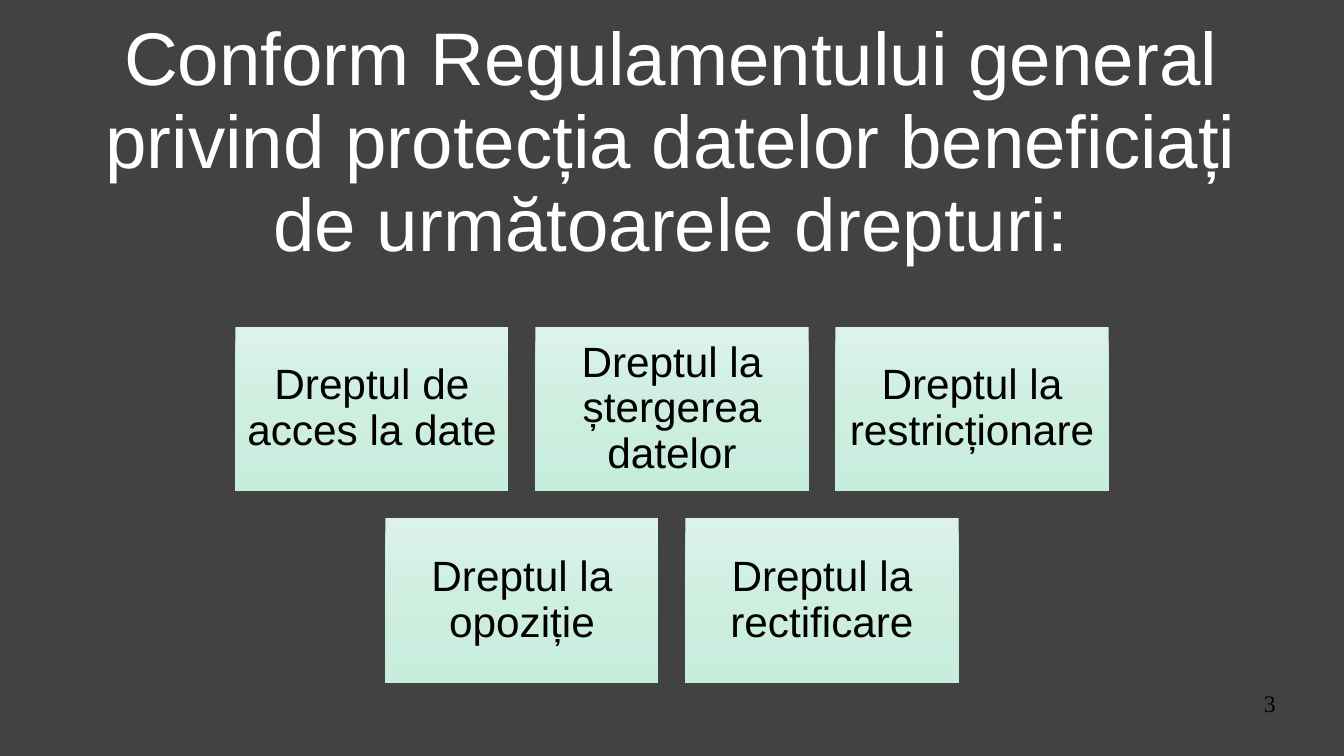
from copy import deepcopy
from dataclasses import dataclass

from pptx import Presentation
from pptx.dml.color import RGBColor
from pptx.enum.shapes import MSO_SHAPE
from pptx.enum.text import MSO_ANCHOR, PP_ALIGN
from pptx.oxml.ns import qn
from pptx.util import Inches, Pt


@dataclass(frozen=True)
class Theme:
    background: str = "424242"
    title_color: str = "FFFFFF"
    text_color: str = "000000"
    card_gradient: tuple = ((0, "DBF3E9"), (0.5, "CEEEE0"), (1, "C7EDDD"))
    font: str = "Arial"
    number_font: str = "Times New Roman"
    title_size: int = 44
    card_size: int = 25
    number_size: int = 14


class SlideBuilder:
    def __init__(self, slide, theme):
        self.slide = slide
        self.theme = theme
        fill = slide.background.fill
        fill.solid()
        fill.fore_color.rgb = RGBColor.from_string(theme.background)

    def set_text(self, shape, text, size, color, font, inset=0,
                 anchor=MSO_ANCHOR.MIDDLE, alignment=PP_ALIGN.CENTER, spacing=1.0):
        frame = shape.text_frame
        frame_format = {"word_wrap": True, "vertical_anchor": anchor}
        for side in ("left", "top", "right", "bottom"):
            frame_format[f"margin_{side}"] = Inches(inset)
        paragraph = frame.paragraphs[0]
        run = paragraph.add_run()
        formats = (
            (frame, frame_format),
            (paragraph, {"alignment": alignment, "line_spacing": spacing}),
            (run, {"text": text}),
            (run.font, {"name": font, "size": Pt(size)}),
        )
        for target, values in formats:
            for name, value in values.items():
                setattr(target, name, value)
        run.font.color.rgb = RGBColor.from_string(color)

    def text_box(self, text, left, top, width, height, **style):
        box = self.slide.shapes.add_textbox(*map(Inches, (left, top, width, height)))
        self.set_text(box, text, **style)

    def title(self, text):
        theme = self.theme
        self.text_box(text, 0.55, 0.18, 9.91, 2, size=theme.title_size,
                      color=theme.title_color, font=theme.font, spacing=0.93)

    def page_number(self, text):
        theme = self.theme
        self.text_box(text, 7.9, 5.65, 2.56, 0.42, size=theme.number_size,
                      color=theme.text_color, font=theme.number_font,
                      anchor=MSO_ANCHOR.TOP, alignment=PP_ALIGN.RIGHT)

    def card(self, text, left, top, width, height):
        theme = self.theme
        card = self.slide.shapes.add_shape(
            MSO_SHAPE.RECTANGLE, *map(Inches, (left, top, width, height)))
        card.shadow.inherit = False
        card.line.fill.background()
        card.fill.gradient()
        card.fill.gradient_angle = 270
        stop_list = card.element.spPr.find(".//" + qn("a:gsLst"))
        stop_list.insert(1, deepcopy(stop_list[0]))
        for stop, (position, color) in zip(card.fill.gradient_stops, theme.card_gradient):
            stop.position = position
            stop.color.rgb = RGBColor.from_string(color)
        self.set_text(card, text, size=theme.card_size, color=theme.text_color,
                      font=theme.font, inset=0.1, spacing=0.9)

    def card_rows(self, rows, center, top, width=2.24, height=1.35, gap=0.22):
        """Stack rows of equal cards, each row centred horizontally."""
        for row_index, labels in enumerate(rows):
            row_width = len(labels) * (width + gap) - gap
            for column, label in enumerate(labels):
                self.card(label, center - row_width / 2 + column * (width + gap),
                          top + row_index * (height + gap), width, height)


def main():
    presentation = Presentation()
    presentation.slide_width = Inches(11.02)
    presentation.slide_height = Inches(6.2)
    slide = presentation.slides.add_slide(presentation.slide_layouts[6])
    builder = SlideBuilder(slide, Theme())
    builder.title("Conform Regulamentului general privind protecția datelor "
                  "beneficiați de următoarele drepturi:")
    builder.card_rows((
        ("Dreptul de acces la date", "Dreptul la ștergerea datelor",
         "Dreptul la restricționare"),
        ("Dreptul la opoziție", "Dreptul la rectificare"),
    ), center=5.51, top=2.68)
    builder.page_number("3")
    presentation.save("out.pptx")


if __name__ == "__main__":
    main()
